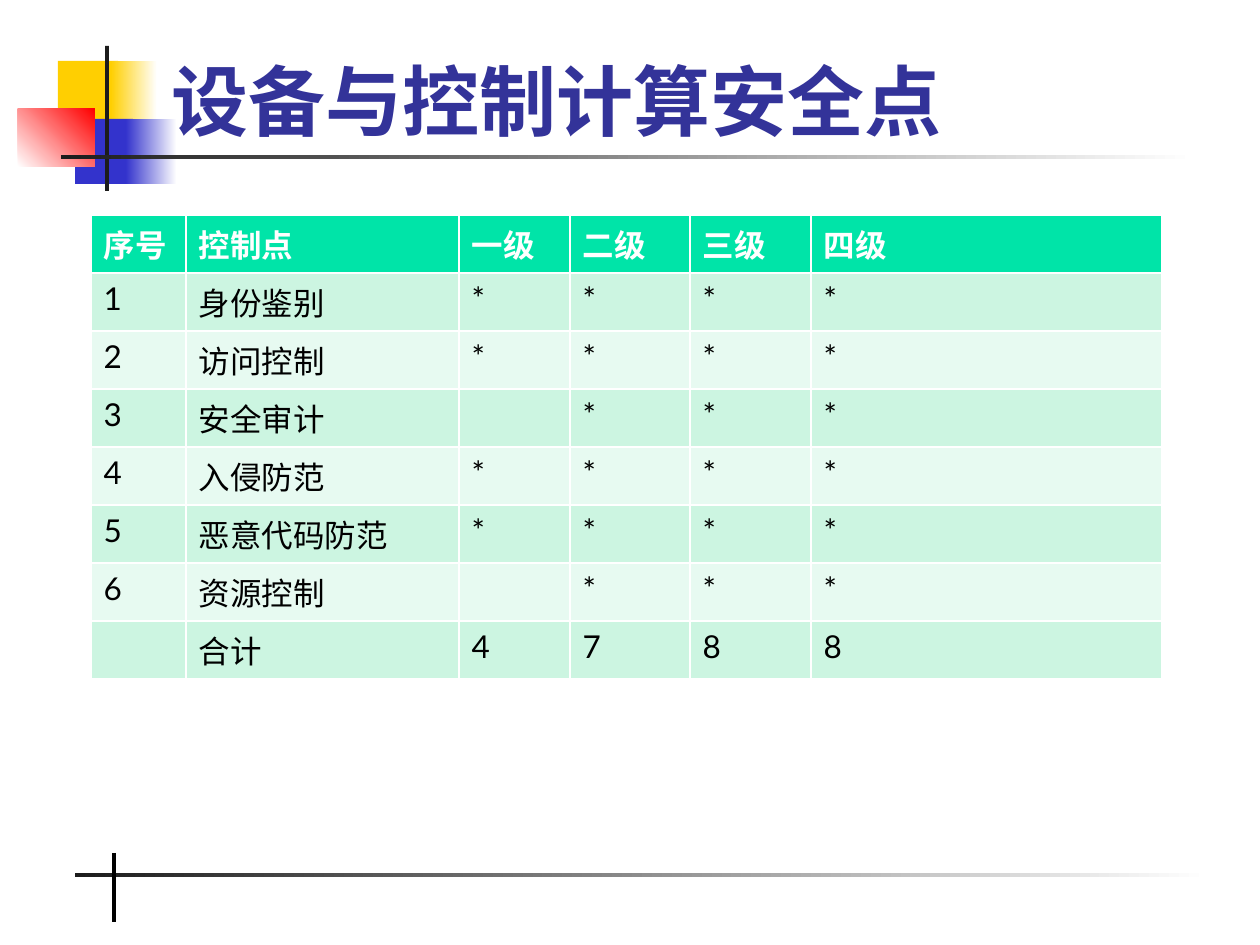
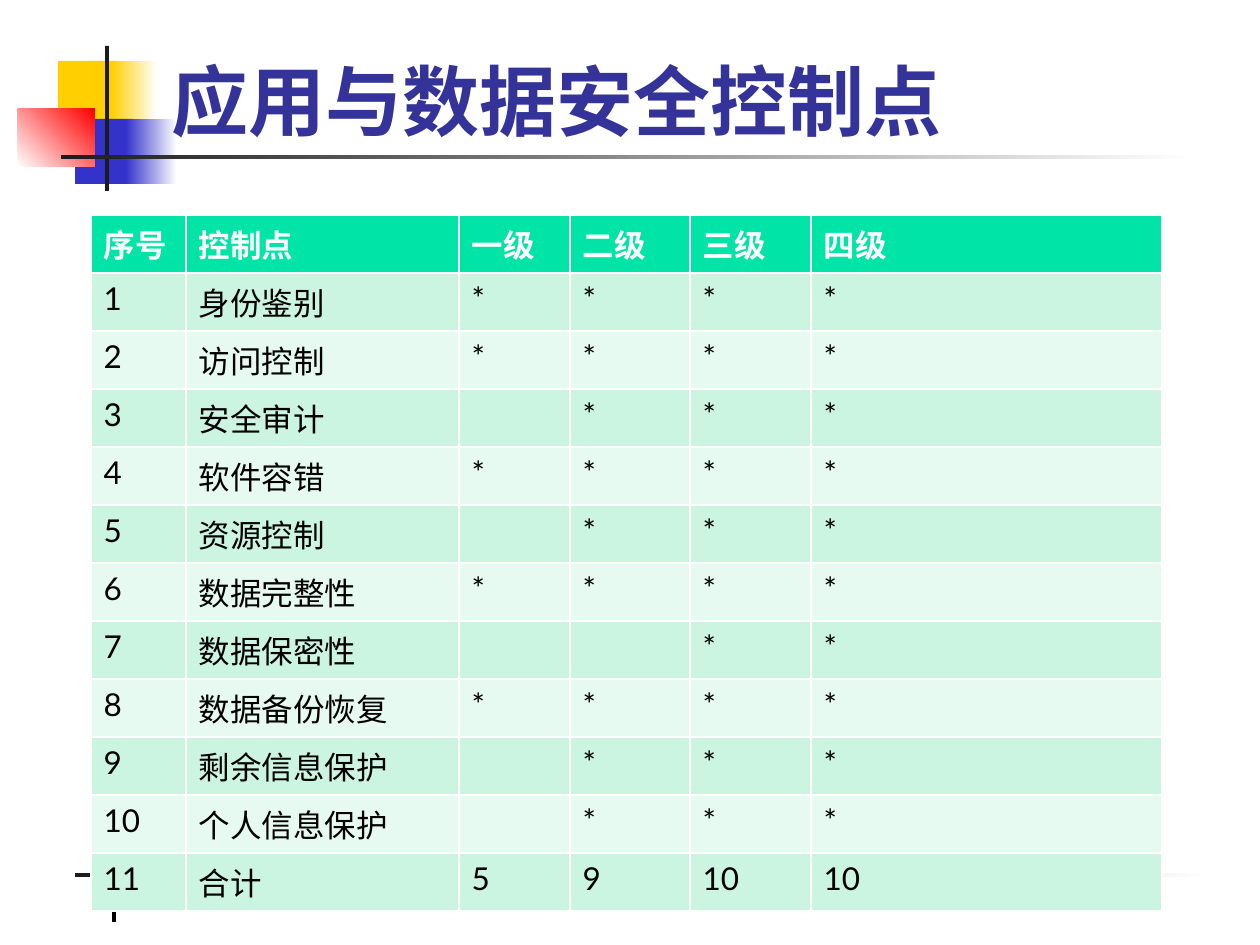
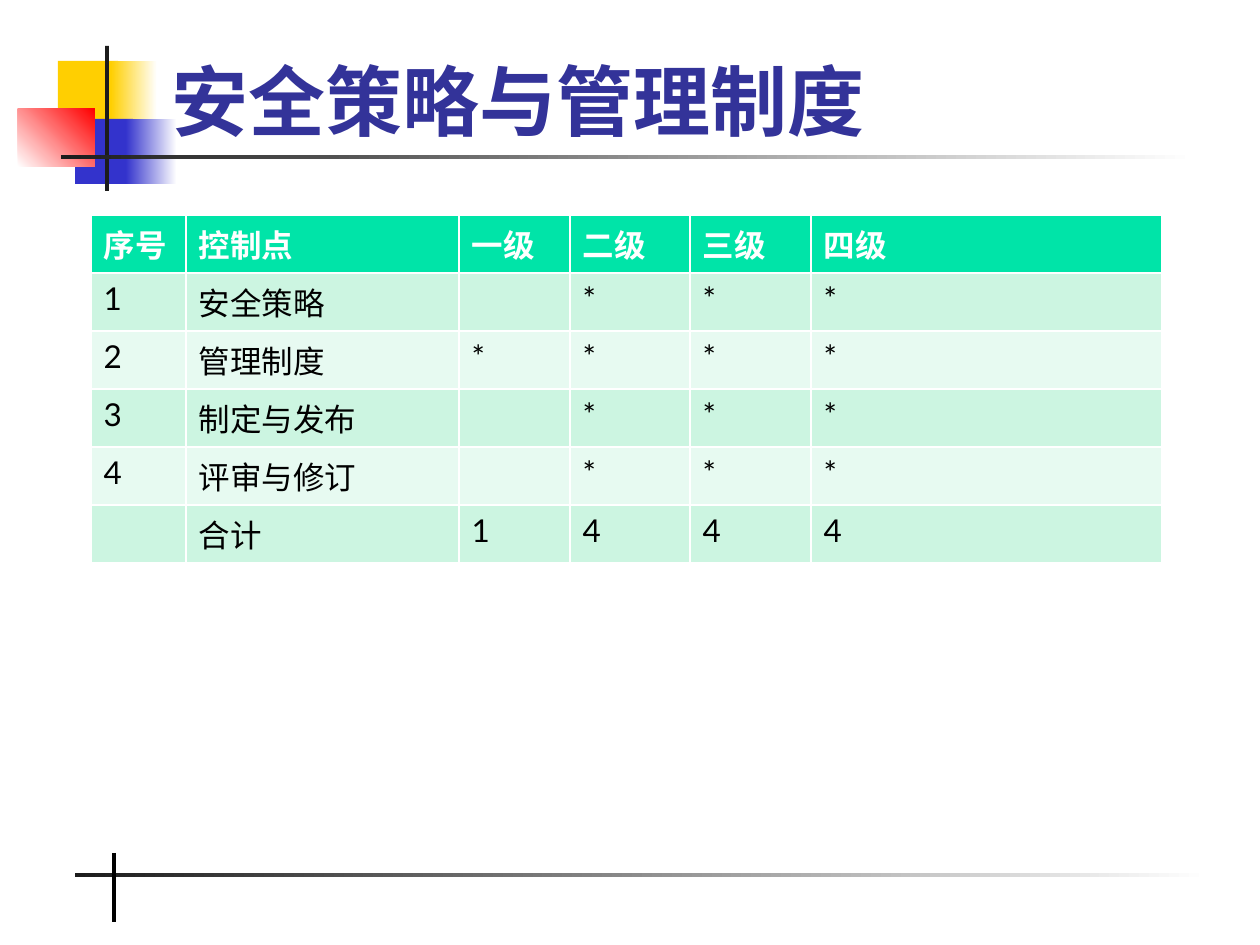
import dataclasses

import pptx
import pptx.dml.color
import pptx.enum.shapes
import pptx.enum.text
import pptx.oxml.ns
import pptx.util
from lxml import etree


@dataclasses.dataclass(frozen=True)
class Theme:
    yellow: str = "FFCF01"
    blue: str = "3333CC"
    red: str = "FF0000"
    ink: str = "1C1C1C"
    black: str = "000000"
    white: str = "FFFFFF"
    title: str = "333399"
    header: str = "00E4A8"
    bands: tuple = ("CCF5E1", "E7FAF1")
    title_font: str = "Times New Roman"
    table_font: str = "Lato"
    title_size: int = 44
    table_size: int = 18


theme = Theme()
PX = 914400 / 126
rgb = pptx.dml.color.RGBColor.from_string


def px(*lengths):
    return [pptx.util.Emu(round(length * PX)) for length in lengths]


def style(paragraph, font_name, size, color, bold):
    font = paragraph.font
    font.name = font_name
    font.size = pptx.util.Pt(size)
    font.bold = bold
    font.color.rgb = rgb(color)


ornaments = [
    ((58, 61, 60, 65), (theme.yellow,), 0),
    ((111, 61, 46, 65), (theme.yellow, theme.white), 0),
    ((75, 119, 58, 65), (theme.blue,), 0),
    ((126, 119, 51, 65), (theme.blue, theme.white), 0),
    ((18, 109, 77, 58), (theme.white, theme.red), 45),
    ((105, 46, 4, 145), (theme.ink,), 0),
    ((61, 155, 1134, 4), (theme.ink, theme.white), 0),
    ((75, 873, 1134, 4), (theme.ink, theme.white), 0),
]
headings = ["序号", "控制点", "一级", "二级", "三级", "四级"]
column_widths = [95, 273, 111, 120, 121, 351]
row_height = 58

topics = [
    ("设备与控制计算安全点",
     [("身份鉴别", 1), ("访问控制", 1), ("安全审计", 2), ("入侵防范", 1),
      ("恶意代码防范", 1), ("资源控制", 2)],
     ["", "合计", "4", "7", "8", "8"]),
    ("应用与数据安全控制点",
     [("身份鉴别", 1), ("访问控制", 1), ("安全审计", 2), ("软件容错", 1),
      ("资源控制", 2), ("数据完整性", 1), ("数据保密性", 3), ("数据备份恢复", 1),
      ("剩余信息保护", 2), ("个人信息保护", 2)],
     ["11", "合计", "5", "9", "10", "10"]),
    ("安全策略与管理制度",
     [("安全策略", 2), ("管理制度", 1), ("制定与发布", 2), ("评审与修订", 2)],
     ["", "合计", "1", "4", "4", "4"]),
]

deck = pptx.Presentation()
deck.slide_width, deck.slide_height = px(1260, 945)

for topic, controls, totals in topics:
    slide = deck.slides.add_slide(deck.slide_layouts[6])

    for box, colors, angle in ornaments:
        ornament = slide.shapes.add_shape(
            pptx.enum.shapes.MSO_SHAPE.RECTANGLE, *px(*box))
        ornament.shadow.inherit = False
        ornament.line.fill.background()
        if len(colors) == 1:
            ornament.fill.solid()
            ornament.fill.fore_color.rgb = rgb(colors[0])
        else:
            ornament.fill.gradient()
            ornament.fill.gradient_angle = angle
            for stop, color in zip(ornament.fill.gradient_stops, colors):
                stop.color.rgb = rgb(color)

    footer_tick = slide.shapes.add_connector(
        pptx.enum.shapes.MSO_CONNECTOR.STRAIGHT, *px(114, 853, 114, 922))
    footer_tick.line.color.rgb = rgb(theme.black)
    footer_tick.line.width = pptx.util.Pt(2.25)
    etree.SubElement(footer_tick._element.spPr, pptx.oxml.ns.qn("a:effectLst"))

    title = slide.shapes.add_textbox(*px(159, 20, 1074, 132)).text_frame
    title.word_wrap = True
    title.vertical_anchor = pptx.enum.text.MSO_ANCHOR.BOTTOM
    title.text = topic
    style(title.paragraphs[0], theme.title_font, theme.title_size, theme.title, True)

    rows = [headings]
    for number, (control, lowest_level) in enumerate(controls, 1):
        marks = ["*" if level >= lowest_level else "" for level in range(1, 5)]
        rows.append([str(number), control, *marks])
    rows.append(totals)

    levels = slide.shapes.add_table(
        len(rows), len(headings),
        *px(91, 215, sum(column_widths), row_height * len(rows))).table
    for column, width in zip(levels.columns, px(*column_widths)):
        column.width = width
    for r, values in enumerate(rows):
        levels.rows[r].height = px(row_height)[0]
        fill = theme.bands[(r - 1) % 2] if r else theme.header
        for c, value in enumerate(values):
            cell = levels.cell(r, c)
            cell.fill.solid()
            cell.fill.fore_color.rgb = rgb(fill)
            cell.text = value
            style(cell.text_frame.paragraphs[0], theme.table_font, theme.table_size,
                  theme.black if r else theme.white, r == 0)

deck.save("out.pptx")
